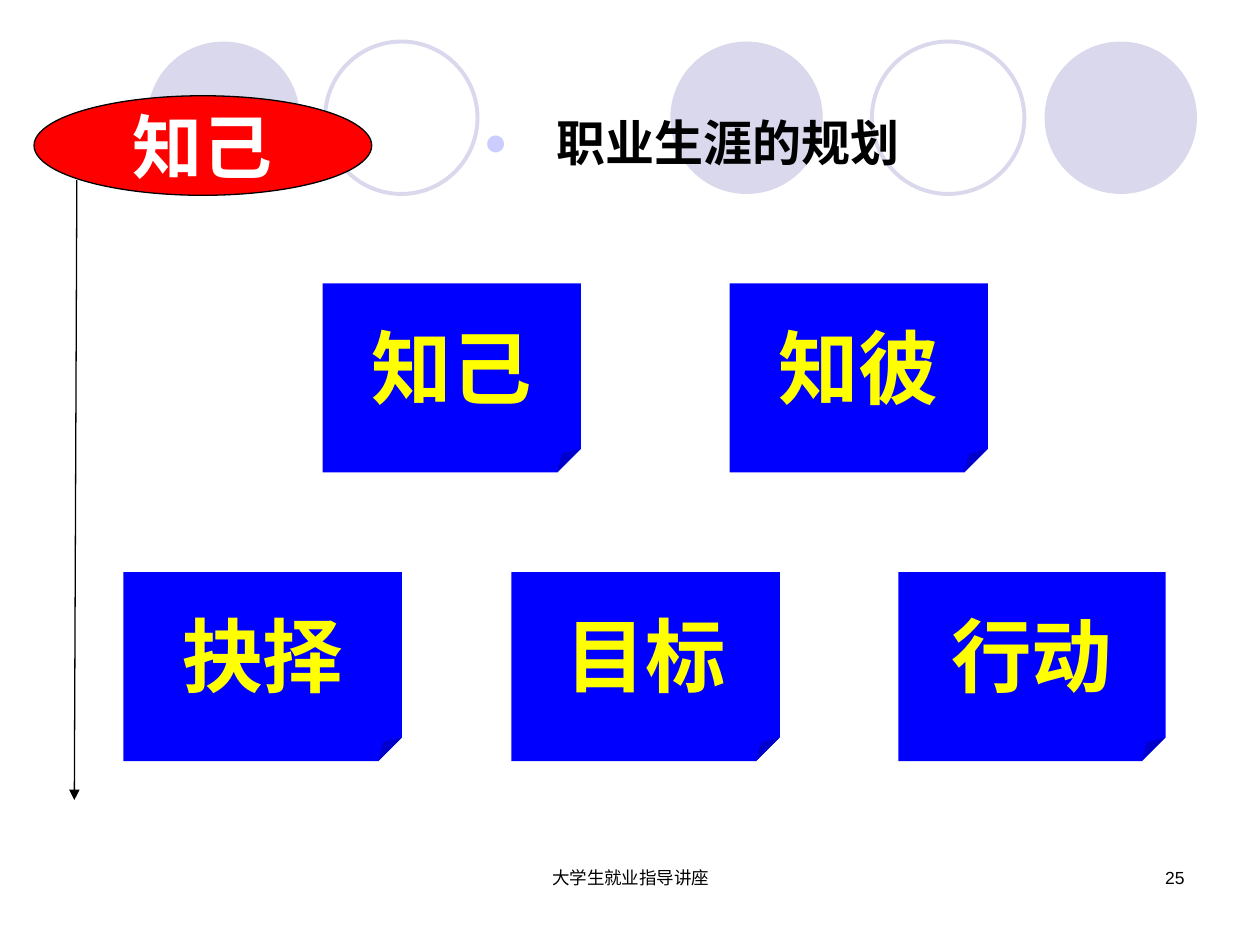
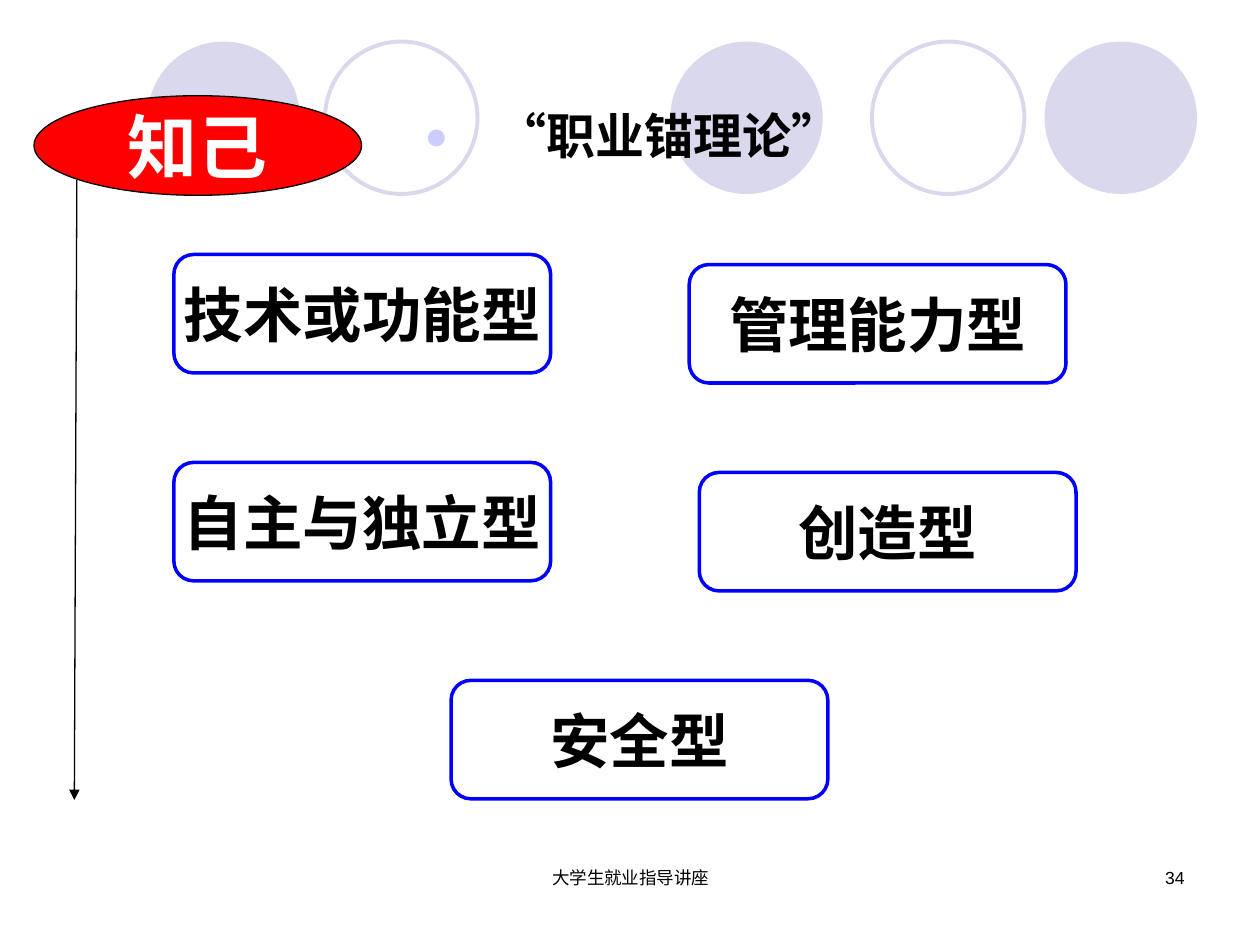
from lxml import etree
from pptx import Presentation
from pptx.dml.color import RGBColor
from pptx.enum.lang import MSO_LANGUAGE_ID
from pptx.enum.shapes import MSO_CONNECTOR, MSO_SHAPE
from pptx.enum.text import MSO_ANCHOR, MSO_AUTO_SIZE, PP_ALIGN
from pptx.oxml.ns import qn
from pptx.util import Inches, Pt

ELLIPSE = MSO_SHAPE.OVAL
FOLDED = MSO_SHAPE.FOLDED_CORNER
ROUNDED = MSO_SHAPE.ROUNDED_RECTANGLE
STRAIGHT = MSO_CONNECTOR.STRAIGHT
LEFT, CENTER, RIGHT = PP_ALIGN.LEFT, PP_ALIGN.CENTER, PP_ALIGN.RIGHT
TOP, MIDDLE = MSO_ANCHOR.TOP, MSO_ANCHOR.MIDDLE
NO_AUTOFIT = MSO_AUTO_SIZE.NONE
CHINESE = MSO_LANGUAGE_ID.SIMPLIFIED_CHINESE

FONT = "Arial"
BLACK, WHITE, RED = "000000", "FFFFFF", "FF0000"
BLUE, YELLOW = "0000FF", "FFFF00"
LILAC, BULLET = "D9D8EC", "CCCCFF"
TITLE_ONLY = 5


def color(code):
    return RGBColor.from_string(code)


def write(shape, text, size, ink=BLACK, bold=False, align=CENTER, anchor=MIDDLE, wrap=False):
    frame = shape.text_frame
    frame.word_wrap = wrap
    frame.auto_size = NO_AUTOFIT
    frame.vertical_anchor = anchor
    para = frame.paragraphs[0]
    para.alignment = align
    span = para.add_run()
    span.text = text
    font = span.font
    font.name, font.size, font.bold = FONT, Pt(size), bold
    font.color.rgb = color(ink)
    font.language_id = CHINESE
    return para


def add_box(page, kind, box, fill=None, line=None, width=0.75):
    shape = page.shapes.add_shape(kind, *map(Inches, box))
    shape.shadow.inherit = False
    if fill:
        shape.fill.solid()
        shape.fill.fore_color.rgb = color(fill)
    else:
        shape.fill.background()
    if line:
        shape.line.color.rgb = color(line)
        shape.line.width = Pt(width)
    else:
        shape.line.fill.background()
    return shape


def add_circles(page):
    for left in (5.32, 8.29, 1.17):
        add_box(page, ELLIPSE, (left, 0.33, 1.21, 1.21), fill=LILAC)
    for left in (6.92, 2.58):
        add_box(page, ELLIPSE, (left, 0.33, 1.21, 1.21), line=LILAC, width=2.25)


def add_topic(page, box):
    left, top = box[:2]
    badge = add_box(page, ELLIPSE, box, RED, BLACK)
    write(badge, "知己", 40, WHITE, bold=True)
    ends = (left + 0.34, top + 0.67, left + 0.32, top + 5.59)
    arrow = page.shapes.add_connector(STRAIGHT, *map(Inches, ends))
    arrow.line.color.rgb = color(BLACK)
    arrow.line.width = Pt(0.75)
    props = arrow.element.spPr
    etree.SubElement(props.find(qn("a:ln")), qn("a:tailEnd"), type="triangle")
    etree.SubElement(props, qn("a:effectLst"))


def add_bullet(para):
    props = para._p.get_or_add_pPr()
    props.set("marL", str(Inches(0.58)))
    props.set("indent", str(Inches(-0.58)))
    tint = etree.SubElement(props, qn("a:buClr"))
    etree.SubElement(tint, qn("a:srgbClr"), val=BULLET)
    etree.SubElement(props, qn("a:buSzPct"), val="80000")
    etree.SubElement(props, qn("a:buFont"), typeface=FONT)
    etree.SubElement(props, qn("a:buChar"), char="●")


def set_title(page, text, box, spacing):
    title = page.shapes.title
    page.shapes.element.append(title.element)
    title.left, title.top, title.width, title.height = map(Inches, box)
    para = write(title, text, 28, bold=True, align=LEFT, anchor=TOP, wrap=True)
    add_bullet(para)
    para.line_spacing = spacing


def add_footer(page, number):
    for text, align, left, width in (
        ("大学生就业指导讲座", CENTER, 3.42, 3.17),
        (number, RIGHT, 7.17, 2.33),
    ):
        label = page.shapes.add_textbox(*map(Inches, (left, 6.83, width, 0.5)))
        write(label, text, 10, align=align, anchor=TOP, wrap=True)


def add_page(deck, title, title_box, badge_width, number, spacing=1.0):
    page = deck.slides.add_slide(deck.slide_layouts[TITLE_ONLY])
    add_circles(page)
    add_topic(page, (0.27, 0.76, badge_width, 0.79))
    set_title(page, title, title_box, spacing)
    add_footer(page, number)
    return page


def add_note(page, text, box):
    note = add_box(page, FOLDED, box, fill=BLUE)
    guides = note.element.spPr.find(qn("a:prstGeom")).find(qn("a:avLst"))
    etree.SubElement(guides, qn("a:gd"), name="adj", fmla="val 12500")
    write(note, text, 46, YELLOW, bold=True)


def add_anchor_type(page, text, left, top):
    card = add_box(page, ROUNDED, (left, top, 2.99, 0.94), line=BLUE, width=2)
    write(card, text, 34, bold=True)


def build_planning(deck):
    page = add_page(deck, "职业生涯的规划", (3.74, 0.84, 4.42, 0.71), 2.68, "25")
    for text, left, top, width in (
        ("知己", 2.56, 2.25, 2.05),
        ("知彼", 5.79, 2.25, 2.05),
        ("抉择", 0.98, 4.54, 2.21),
        ("目标", 4.06, 4.54, 2.13),
        ("行动", 7.13, 4.54, 2.12),
    ):
        add_note(page, text, (left, top, width, 1.5))


def build_anchors(deck):
    page = add_page(deck, "“职业锚理论”", (3.27, 0.84, 5.75, 0.71), 2.6, "34", 0.9)
    for text, left, top in (
        ("技术或功能型", 1.38, 2.02),
        ("管理能力型", 5.47, 2.1),
        ("自主与独立型", 1.38, 3.67),
        ("创造型", 5.55, 3.75),
        ("安全型", 3.58, 5.4),
    ):
        add_anchor_type(page, text, left, top)


def main():
    deck = Presentation()
    deck.slide_width, deck.slide_height = Inches(10), Inches(7.5)
    build_planning(deck)
    build_anchors(deck)
    deck.save("out.pptx")


if __name__ == "__main__":
    main()
